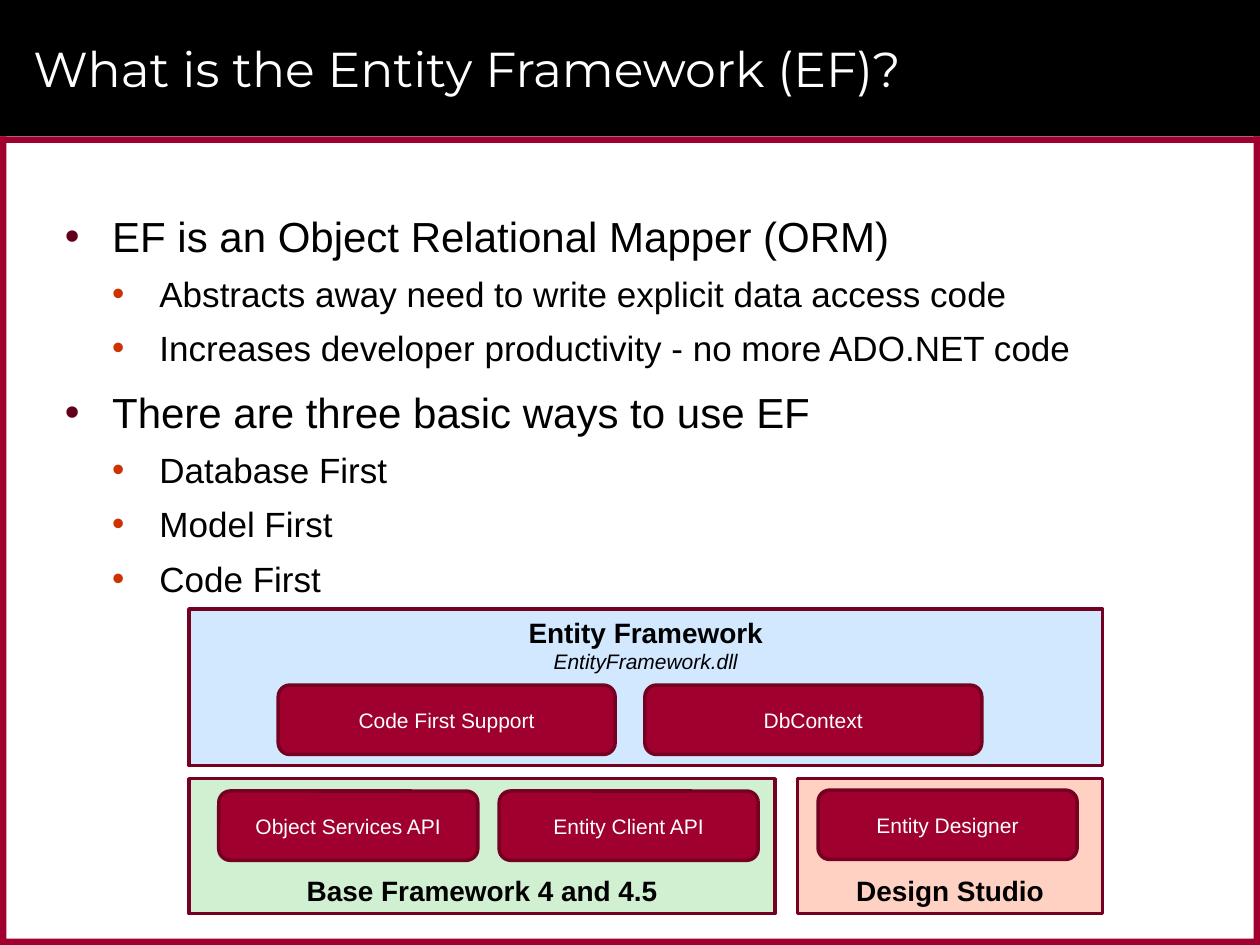
from lxml.etree import SubElement
from pptx import Presentation
from pptx.dml.color import RGBColor as Color
from pptx.enum.shapes import MSO_SHAPE as Preset
from pptx.enum.text import MSO_ANCHOR as Anchor, PP_ALIGN as Align
from pptx.oxml.ns import qn
from pptx.util import Pt

COLORS = {
    "black": "000000",
    "white": "FFFFFF",
    "crimson": "9F002D",
    "border": "760021",
    "blue": "D1E8FF",
    "green": "D1F0D1",
    "peach": "FFD1C2",
    "bullet": "60001B",
    "sub_bullet": "CC3300",
}
WIDTH, HEIGHT = 720, 540
HEADER_HEIGHT = 78
EDGE = 3.6
BUTTON_HEIGHT = 39.6


def color(name):
    return Color.from_string(COLORS[name])


def add_text(paragraph, text, size=12, font="Arial", ink="black", bold=False, italic=False):
    run = paragraph.add_run()
    run.text = text
    run.font.size = Pt(size)
    run.font.name = font
    run.font.bold = bold
    run.font.italic = italic
    run.font.color.rgb = color(ink)


class SlideBuilder:
    font = "Arial"
    title_font = "Montserrat"
    line_width = 2

    def __init__(self, slide):
        self.slide = slide

    def box(self, left, top, width, height, fill, preset=Preset.RECTANGLE, border=None):
        shape = self.slide.shapes.add_shape(preset, Pt(left), Pt(top), Pt(width), Pt(height))
        shape.shadow.inherit = False
        shape.fill.solid()
        shape.fill.fore_color.rgb = color(fill)
        if border:
            shape.line.color.rgb = color(border)
            shape.line.width = Pt(self.line_width)
        else:
            shape.line.fill.background()
        return shape

    def text_box(self, left, top, width, height, anchor=Anchor.TOP):
        frame = self.slide.shapes.add_textbox(Pt(left), Pt(top), Pt(width), Pt(height)).text_frame
        frame.word_wrap = True
        frame.vertical_anchor = anchor
        return frame

    def title(self, text):
        frame = self.text_box(12, 6, 678, 66, Anchor.MIDDLE)
        add_text(frame.paragraphs[0], text, size=28, font=self.title_font, ink="white")

    def bullets(self, items):
        frame = self.text_box(30, 115.5, 660, 406.5)
        for index, (level, text) in enumerate(items):
            paragraph = frame.add_paragraph() if index else frame.paragraphs[0]
            self.bullet(paragraph, level, text, first=index == 0)

    def bullet(self, paragraph, level, text, first):
        before, after, size, ink = [(6, 2, 24, "bullet"), (3, 3, 20, "sub_bullet")][level]
        paragraph.level = level
        paragraph.line_spacing = 1.05
        paragraph.space_before = Pt(0 if first else before)
        paragraph.space_after = Pt(after)
        properties = paragraph._p.get_or_add_pPr()
        properties.set("marL", str(Pt(27 * (level + 1))))
        properties.set("indent", str(-Pt(27)))
        bullet_color = SubElement(properties, qn("a:buClr"))
        SubElement(bullet_color, qn("a:srgbClr"), val=COLORS[ink])
        SubElement(properties, qn("a:buFont"), typeface=self.font)
        SubElement(properties, qn("a:buChar"), char="•")
        add_text(paragraph, text, size=size, font=self.font)

    def panel(self, left, top, width, height, fill, heading, anchor, caption=None):
        frame = self.box(left, top, width, height, fill, border="border").text_frame
        frame.vertical_anchor = anchor
        paragraph = frame.paragraphs[0]
        paragraph.alignment = Align.CENTER
        add_text(paragraph, heading, size=16, font=self.font, bold=True)
        if caption:
            paragraph = frame.add_paragraph()
            paragraph.alignment = Align.CENTER
            add_text(paragraph, caption, font=self.font, italic=True)

    def button(self, left, top, width, text):
        shape = self.box(left, top, width, BUTTON_HEIGHT, "crimson",
                         Preset.ROUNDED_RECTANGLE, "border")
        shape.text_frame.vertical_anchor = Anchor.MIDDLE
        paragraph = shape.text_frame.paragraphs[0]
        paragraph.alignment = Align.CENTER
        add_text(paragraph, text, font=self.font, ink="white")


def main():
    presentation = Presentation()
    presentation.slide_width, presentation.slide_height = Pt(WIDTH), Pt(HEIGHT)
    builder = SlideBuilder(presentation.slides.add_slide(presentation.slide_layouts[6]))

    builder.box(0, 0, WIDTH, HEADER_HEIGHT, "black")
    for top in (HEADER_HEIGHT, HEIGHT - EDGE):
        builder.box(0, top, WIDTH, EDGE, "crimson")
    for left in (0, WIDTH - EDGE):
        builder.box(left, HEADER_HEIGHT, EDGE, HEIGHT - HEADER_HEIGHT, "crimson")

    builder.title("What is the Entity Framework (EF)?")
    builder.bullets([
        (0, "EF is an Object Relational Mapper (ORM)"),
        (1, "Abstracts away need to write explicit data access code"),
        (1, "Increases developer productivity - no more ADO.NET code"),
        (0, "There are three basic ways to use EF"),
        (1, "Database First"),
        (1, "Model First"),
        (1, "Code First"),
    ])

    builder.panel(108, 348, 522, 89.5, "blue", "Entity Framework", Anchor.TOP,
                  caption="EntityFramework.dll")
    builder.panel(108, 445, 335, 77, "green", "Base Framework 4 and 4.5", Anchor.BOTTOM)
    builder.panel(455.75, 445, 174.25, 77, "peach", "Design Studio", Anchor.BOTTOM)

    for left, top, width, text in [
        (159, 391.5, 192.5, "Code First Support"),
        (368.5, 391.5, 192.5, "DbContext"),
        (125, 452, 148, "Object Services API"),
        (285.25, 452, 148, "Entity Client API"),
        (467.5, 451.5, 148, "Entity Designer"),
    ]:
        builder.button(left, top, width, text)

    presentation.save("out.pptx")


if __name__ == "__main__":
    main()
